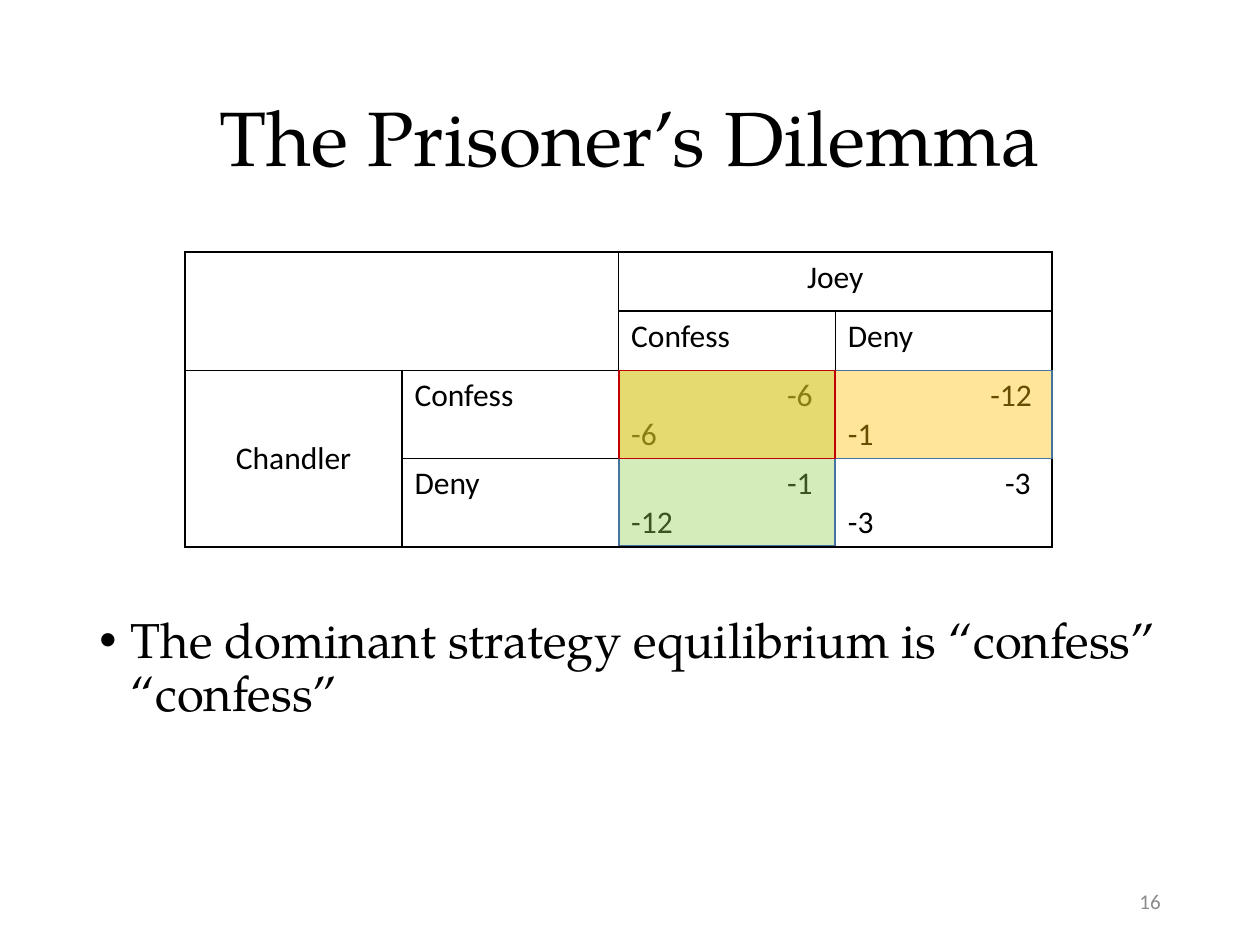
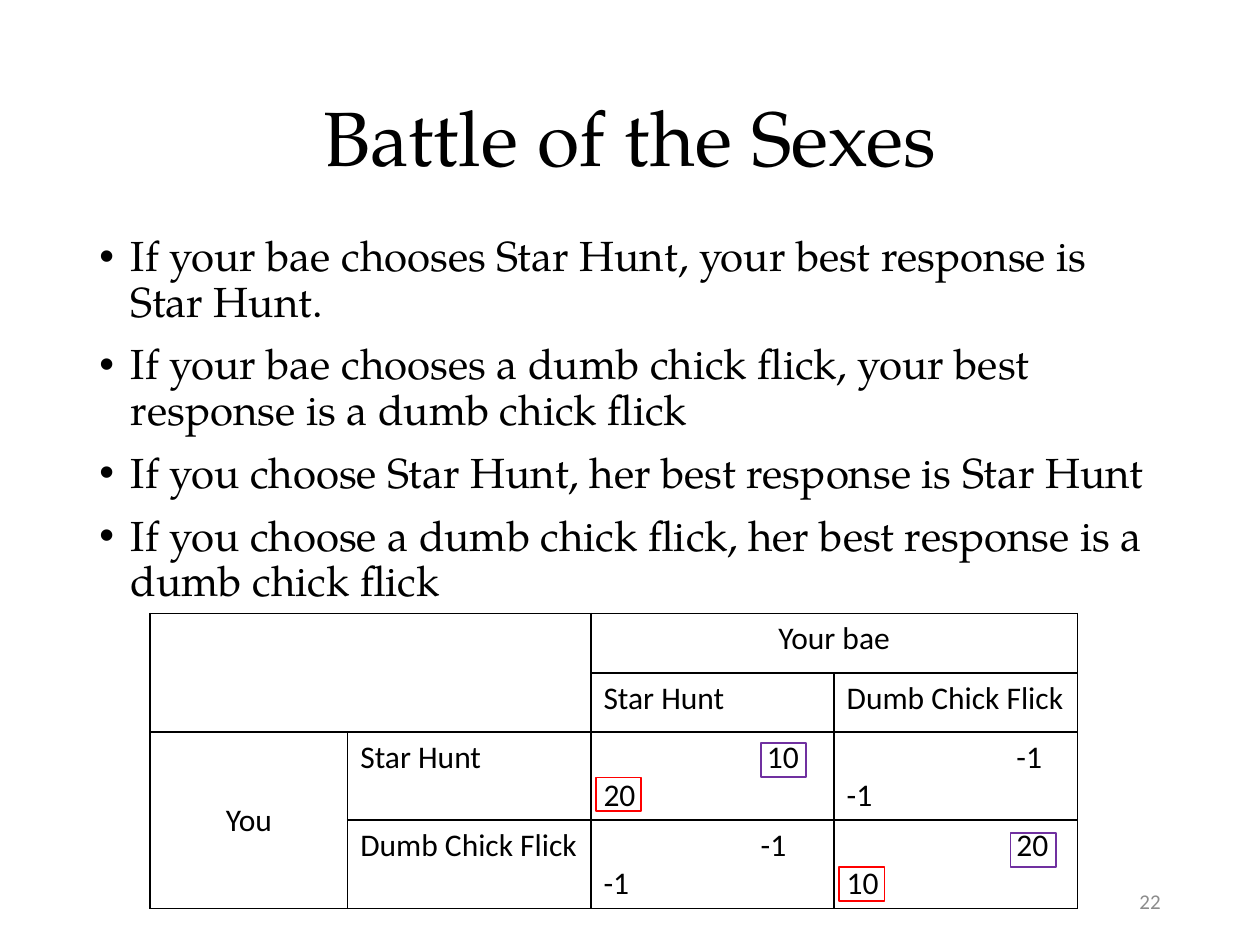
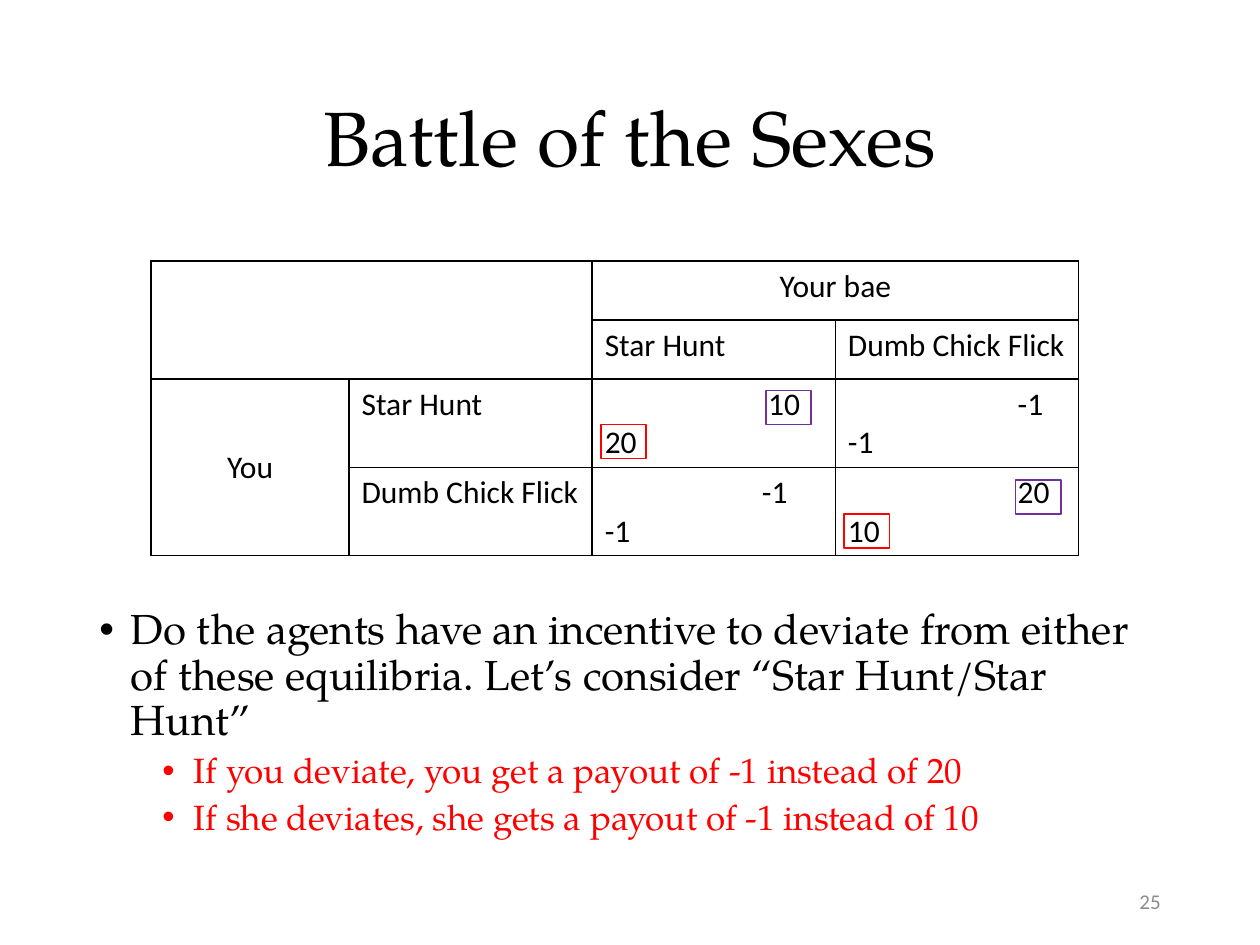
from dataclasses import dataclass

from lxml import etree
from pptx import Presentation
from pptx.dml.color import RGBColor
from pptx.enum.shapes import MSO_SHAPE
from pptx.enum.text import MSO_ANCHOR, PP_ALIGN
from pptx.oxml.ns import qn
from pptx.util import Inches, Pt

RECTANGLE = MSO_SHAPE.RECTANGLE
TOP, MIDDLE = MSO_ANCHOR.TOP, MSO_ANCHOR.MIDDLE
LEFT, CENTER, RIGHT = PP_ALIGN.LEFT, PP_ALIGN.CENTER, PP_ALIGN.RIGHT

COLORS = {
    "text": "000000",
    "number": "8C8C8C",
    "alert": "FF0000",
    "row_best": "FF0000",
    "column_best": "7030A0",
    "outline": "43739E",
    "column_band": "92D050",
    "row_band": "FFC000",
    "equilibrium": "C00000",
}
SERIF, SANS = "TeX Gyre Pagella", "Calibri"
COLUMNS, ROWS = 100, 75
UNIT = Inches(0.1)
HEADER_ROW, PAYOFF_ROW, DRAWN_PAYOFF_ROW = 4.7, 6.7, 7.1
TABLE_HEIGHT = 23.3
MARKER_WIDTH, MARKER_HEIGHT = 3.6, 2.7


@dataclass
class Box:
    """An area in grid columns and rows."""

    left: float
    top: float
    width: float
    height: float

    def lengths(self):
        """Return left, top, width and height as slide lengths."""
        return [grid(value) for value in (self.left, self.top, self.width, self.height)]


TITLE_BOX = Box(6.9, 4, 86.2, 14.5)
NUMBER_BOX = Box(70.6, 69.5, 22.5, 4)


@dataclass
class Game:
    """Players, moves and payoffs as (column player, row player, right inset)."""

    row_player: str
    column_player: str
    moves: list
    payoffs: list
    widths: list


PRISONERS = Game(
    "Chandler", "Joey", ["Confess", "Deny"],
    [[("-6", "-6", 1.8), ("-12", "-1", 1.6)], [("-1", "-12", 1.8), ("-3", "-3", 1.7)]],
    [17.2] * 4,
)
SEXES = Game(
    "You", "Your bae", ["Star Hunt", "Dumb Chick Flick"],
    [[("10", "20", 2.8), ("-1", "-1", 2.8)], [("-1", "-1", 3.8), ("20", "10", 2.3)]],
    [15.7] + [19.3] * 3,
)


def grid(count):
    """Turn a count of grid units into a length."""
    return round(count * UNIT)


def color(name):
    """Look up a named colour."""
    return RGBColor.from_string(COLORS[name])


def set_font(paragraph, family, size, color_name="text"):
    """Style a whole paragraph."""
    paragraph.font.name = family
    paragraph.font.size = Pt(size)
    paragraph.font.color.rgb = color(color_name)


def add_text_frame(slide, box, anchor):
    """Add a wrapping text box and return its frame."""
    frame = slide.shapes.add_textbox(*box.lengths()).text_frame
    frame.word_wrap = True
    frame.vertical_anchor = anchor
    return frame


def add_bullets(slide, box, size, items):
    """Add bulleted paragraphs given as (level, text)."""
    frame = add_text_frame(slide, box, TOP)
    for index, (level, text) in enumerate(items):
        paragraph = frame.add_paragraph() if index else frame.paragraphs[0]
        paragraph.text = text
        paragraph.level = level
        paragraph.line_spacing = 0.9
        paragraph.space_before = Pt((5 if level else 10) if index else 0)
        properties = paragraph._p.get_or_add_pPr()
        properties.set("marL", str(Inches(0.25 + 0.5 * level)))
        properties.set("indent", str(Inches(-0.25)))
        etree.SubElement(properties, qn("a:buFont"), typeface="Arial")
        etree.SubElement(properties, qn("a:buChar"), char="•")
        set_font(paragraph, SERIF, 20 if level else size, "alert" if level else "text")


def add_base_slide(presentation, title, number):
    """Add a blank slide with its title and slide number."""
    slide = presentation.slides.add_slide(presentation.slide_layouts[6])
    heading = add_text_frame(slide, TITLE_BOX, MIDDLE).paragraphs[0]
    heading.text = title
    heading.alignment = CENTER
    heading.line_spacing = 0.9
    set_font(heading, SERIF, 44)
    footer = add_text_frame(slide, NUMBER_BOX, MIDDLE).paragraphs[0]
    footer.text = str(number)
    footer.alignment = RIGHT
    set_font(footer, SANS, 12, "number")
    return slide


def style_cell(cell):
    """Give a cell thin black borders and no fill."""
    properties = cell._tc.get_or_add_tcPr()
    for side in ("lnL", "lnR", "lnT", "lnB"):
        border = etree.SubElement(properties, qn(f"a:{side}"), w=str(Pt(1)))
        fill = etree.SubElement(border, qn("a:solidFill"))
        etree.SubElement(fill, qn("a:srgbClr"), val=COLORS["text"])
    cell.fill.background()
    set_font(cell.text_frame.paragraphs[0], SANS, 18)


def fill_cell(cell, lines, alignments):
    """Write one paragraph per line, each with its alignment."""
    cell.text = "\n".join(lines)
    for paragraph, alignment in zip(cell.text_frame.paragraphs, alignments):
        paragraph.alignment = alignment
        set_font(paragraph, SANS, 18)


def add_payoff_table(slide, left, top, game):
    """Add the payoff matrix of a game with its corner at left and top."""
    box = Box(left, top, sum(game.widths), TABLE_HEIGHT)
    frame = slide.shapes.add_table(4, 4, *box.lengths())
    table = frame.table
    table.first_row = table.horz_banding = False
    for column, width in zip(table.columns, game.widths):
        column.width = grid(width)
    for row, height in zip(table.rows, [HEADER_ROW] * 2 + [PAYOFF_ROW] * 2):
        row.height = grid(height)
    frame.height = grid(TABLE_HEIGHT)
    for cell in table.iter_cells():
        style_cell(cell)
    for first, last in (((0, 0), (1, 1)), ((0, 2), (0, 3)), ((2, 0), (3, 0))):
        table.cell(*first).merge(table.cell(*last))
    fill_cell(table.cell(0, 2), [game.column_player], [CENTER])
    fill_cell(table.cell(2, 0), [game.row_player], [CENTER])
    table.cell(2, 0).vertical_anchor = MIDDLE
    for index, move in enumerate(game.moves, 2):
        fill_cell(table.cell(1, index), [move], [LEFT])
        fill_cell(table.cell(index, 1), [move], [LEFT])
    for row, payoffs in enumerate(game.payoffs, 2):
        for column, (upper, lower, inset) in enumerate(payoffs, 2):
            cell = table.cell(row, column)
            cell.margin_right = grid(inset)
            fill_cell(cell, [upper, lower], [RIGHT, LEFT])


def add_frame(slide, box, line_name, fill_name=None):
    """Add an outlined rectangle, tinted when a fill is named."""
    shape = slide.shapes.add_shape(RECTANGLE, *box.lengths())
    shape.shadow.inherit = False
    if fill_name:
        shape.fill.solid()
        shape.fill.fore_color.rgb = color(fill_name)
        tint = next(shape.element.spPr.iter(qn("a:srgbClr")))
        etree.SubElement(tint, qn("a:alpha"), val="40000")
    else:
        shape.fill.background()
    shape.line.color.rgb = color(line_name)
    shape.line.width = Pt(1)


def add_strategy_bands(slide, left, top, game):
    """Tint the dominant column and row and outline where they cross."""
    left += sum(game.widths[:2])
    top += 2 * HEADER_ROW
    width, height = game.widths[2], 7
    add_frame(slide, Box(left, top, width, 13.9), "outline", "column_band")
    add_frame(slide, Box(left, top, 2 * width, height), "outline", "row_band")
    add_frame(slide, Box(left, top, width, height), "equilibrium")


def add_best_responses(slide, left, top, game, shift):
    """Frame both payoffs in each equilibrium on the diagonal."""
    for index in range(2):
        width = game.widths[2 + index]
        inset = game.payoffs[index][index][2]
        cell_left = left + sum(game.widths[:2 + index]) + shift
        cell_top = top + 2 * HEADER_ROW + index * DRAWN_PAYOFF_ROW
        upper_left = cell_left + width - inset + 0.2 - MARKER_WIDTH
        for name, x, y in (
            ("row_best", cell_left, cell_top + 3.6),
            ("column_best", upper_left, cell_top + 0.9),
        ):
            add_frame(slide, Box(x, y, MARKER_WIDTH, MARKER_HEIGHT), name)


def add_dilemma_slide(presentation):
    """Show the dominant strategy equilibrium."""
    slide = add_base_slide(presentation, "The Prisoner’s Dilemma", 16)
    add_bullets(slide, Box(6.9, 48.4, 86.2, 19.2), 28, [
        (0, "The dominant strategy equilibrium is “confess” “confess”"),
    ])
    add_payoff_table(slide, 14.7, 20, PRISONERS)
    add_strategy_bands(slide, 14.7, 20, PRISONERS)


def add_sexes_slide(presentation, number, bullet_box, bullets, left, top, shift):
    """Show the coordination game with its best responses."""
    slide = add_base_slide(presentation, "Battle of the Sexes", number)
    add_bullets(slide, bullet_box, 24, bullets)
    add_payoff_table(slide, left, top, SEXES)
    add_best_responses(slide, left, top, SEXES, shift)


def main():
    """Build and save the presentation."""
    presentation = Presentation()
    presentation.slide_width = grid(COLUMNS)
    presentation.slide_height = grid(ROWS)
    add_dilemma_slide(presentation)
    add_sexes_slide(presentation, 22, Box(6.9, 18.2, 86.2, 47.6), [
        (0, "If your bae chooses Star Hunt, your best response is Star Hunt."),
        (0, "If your bae chooses a dumb chick flick, your best response is a dumb chick flick"),
        (0, "If you choose Star Hunt, her best response is Star Hunt"),
        (0, "If you choose a dumb chick flick, her best response is a dumb chick flick"),
    ], 11.9, 48.7, 0.4)
    add_sexes_slide(presentation, 25, Box(6.9, 47.8, 86.2, 19.8), [
        (0, "Do the agents have an incentive to deviate from either of these equilibria. "
            "Let’s consider “Star Hunt/Star Hunt”"),
        (1, "If you deviate, you get a payout of -1 instead of 20"),
        (1, "If she deviates, she gets a payout of -1 instead of 10"),
    ], 12, 20.7, 0.7)
    presentation.save("out.pptx")


if __name__ == "__main__":
    main()
